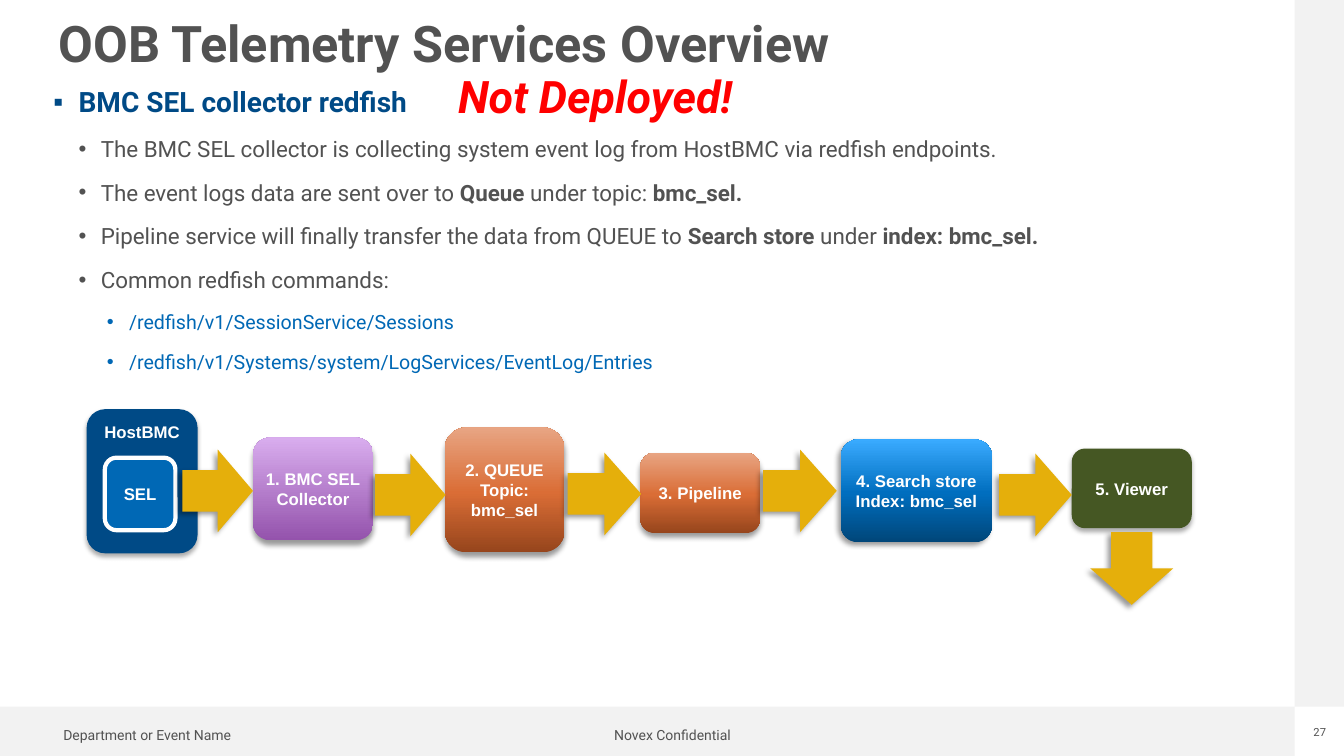
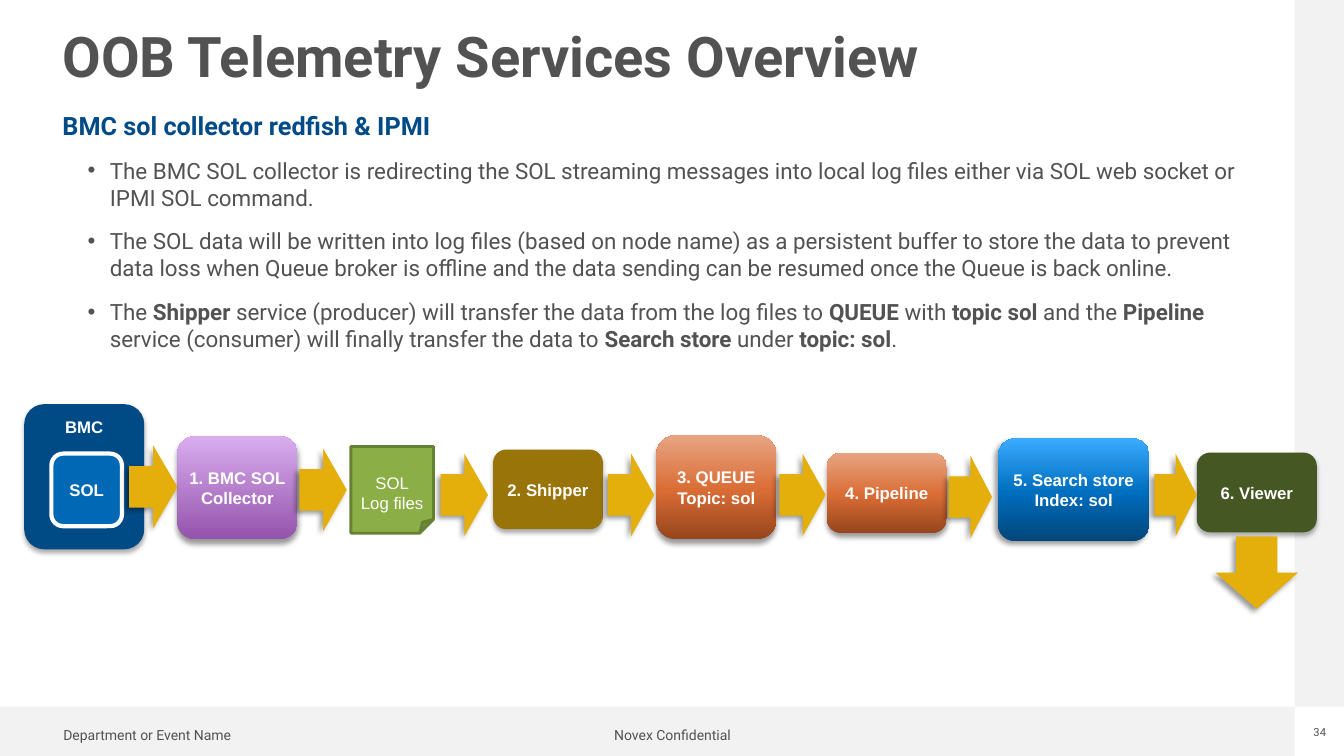
from lxml import etree
from pptx import Presentation
from pptx import util as u
from pptx.dml.color import RGBColor
from pptx.enum import shapes, text
from pptx.oxml.ns import qn

PX = 9144  # EMU per px, 100 px to the inch

# Shared style
BODY_FONT, BLOCK_FONT = "Roboto", "Arial"
WHITE = RGBColor(0xFF, 0xFF, 0xFF)
BAND = RGBColor(0xF2, 0xF2, 0xF2)
GREY = RGBColor(0x52, 0x52, 0x52)
NAVY = RGBColor(0x00, 0x4A, 0x86)
BLUE = RGBColor(0x00, 0x68, 0xB5)
RED = RGBColor(0xFF, 0x00, 0x00)
GOLD = RGBColor(0xE5, 0xAF, 0x0B)
OLIVE = RGBColor(0x45, 0x57, 0x23)
BROWN = RGBColor(0x99, 0x74, 0x08)
GREEN = RGBColor(0x8B, 0xAE, 0x46)
DARK_GREEN = RGBColor(0x67, 0x81, 0x34)

# Gradients run from the bottom up: (percent, colour)
PURPLE_FADE = [(0, "9453AC"), (100, "D9ADEE")]
ORANGE_FADE = [(0, "96451C"), (48, "DA6D36"), (100, "E8A583")]
BLUE_FADE = [(0, "004679"), (48, "006EBF"), (100, "3AABFF")]

# Shadows: opacity percent, blur pt, distance pt, direction in degrees
SOFT = (32, 3.5, 2.2, 90)
BELOW = (40, 4, 3, 90)
DIAGONAL = (40, 4, 3, 135)

ROUND = shapes.MSO_SHAPE.ROUNDED_RECTANGLE
FOLDED = shapes.MSO_SHAPE.FOLDED_CORNER
RIGHT = shapes.MSO_SHAPE.RIGHT_ARROW
DOWN = shapes.MSO_SHAPE.DOWN_ARROW
ARROW_SPAN, DOWN_LENGTH = 82, 72

# Block styles
STYLES = {
    "host": dict(fill=NAVY, shadow=SOFT, anchor="top", top=7),
    "sensor": dict(fill=BLUE, line=(WHITE, 3)),
    "collector": dict(fill=PURPLE_FADE, shadow=BELOW),
    "files": dict(kind=FOLDED, fill=GREEN, line=(DARK_GREEN, 2), bold=False, top=25),
    "shipper": dict(fill=BROWN, shadow=SOFT),
    "transfer": dict(fill=ORANGE_FADE, shadow=BELOW, corner=0.185),
    "store": dict(fill=BLUE_FADE, shadow=DIAGONAL),
    "viewer": dict(fill=OLIVE, shadow=SOFT),
}

# Paragraph levels: size, colour, bold, left indent px, hanging px, bullet
LEVELS = {
    "head": (20, NAVY, True, 25, 25, "▪"),
    "plain head": (18, NAVY, True, 0, 0, None),
    "point": (16, GREY, False, 47, 22, "•"),
    "command": (14, BLUE, False, 75, 22, "•"),
}

# Content: ** marks bold; blocks are (style, lines, left, top, width, height);
# arrows are (left, top, width)
TITLE = "OOB Telemetry Services Overview"
FOOTERS = [("Department or Event Name", 53, 193, "LEFT"),
           ("Novex Confidential", 567, 200, "CENTER")]
SLIDES = [
    dict(
        number="27", title_at=(58, 19, 1204, 51), title_size=36,
        body_at=(53, 84, 1204, 542), stamp="Not Deployed!",
        body=[
            ("head", "BMC SEL collector redfish"),
            ("point", "The BMC SEL collector is collecting system event log from "
                      "HostBMC via redfish endpoints."),
            ("point", "The event logs data are sent over to **Queue **under topic: "
                      "**bmc_sel."),
            ("point", "Pipeline service will finally transfer the data from QUEUE to "
                      "**Search store** under **index: bmc_sel."),
            ("point", "Common redfish commands:"),
            ("command", "/redfish/v1/SessionService/Sessions"),
            ("command", "/redfish/v1/Systems/system/LogServices/EventLog/Entries"),
        ],
        blocks=[
            ("host", ["HostBMC"], 86, 406, 110, 143),
            ("sensor", ["SEL"], 104, 454, 70, 72),
            ("collector", ["1. BMC SEL", "Collector"], 251, 434, 119, 102),
            ("transfer", ["2. QUEUE", "Topic: bmc_sel"], 441, 424, 119, 124),
            ("transfer", ["3. Pipeline"], 635, 449, 119, 80),
            ("store", ["4. Search store", "Index: bmc_sel"], 834, 436, 150, 102),
            ("viewer", ["5. Viewer"], 1063, 445, 119, 79),
        ],
        arrows=[(181, 446, 70), (372, 450, 70), (563, 449, 73), (757, 446, 73),
                (991, 450, 72)],
    ),
    dict(
        number="34", title_at=(62, 29, 1204, 78), title_size=40,
        body_at=(62, 109, 1204, 542), stamp=None,
        body=[
            ("plain head", "BMC sol collector redfish & IPMI"),
            ("point", "The BMC SOL collector is redirecting the SOL streaming messages "
                      "into local log files either via SOL web socket or IPMI SOL command."),
            ("point", "The SOL data will be written into log files (based on node name) "
                      "as a persistent buffer to store the data to prevent data loss when "
                      "Queue broker is offline and the data sending can be resumed once "
                      "the Queue is back online."),
            ("point", "The **Shipper** service (producer) will transfer the data from the "
                      "log files to **QUEUE** with **topic sol **and the **Pipeline** "
                      "service (consumer) will finally transfer the data to "
                      "**Search store** under **topic: sol**."),
        ],
        blocks=[
            ("host", ["BMC"], 24, 401, 119, 144),
            ("sensor", ["SOL"], 51, 450, 70, 72),
            ("collector", ["1. BMC SOL", "Collector"], 176, 433, 119, 102),
            ("files", ["SOL", "Log files"], 348, 443, 82, 86),
            ("shipper", ["2. Shipper"], 489, 446, 109, 79),
            ("transfer", ["3. QUEUE", "Topic: sol"], 651, 432, 119, 103),
            ("transfer", ["4. Pipeline"], 820, 449, 119, 80),
            ("store", ["5. Search store", "Index: sol"], 990, 435, 150, 102),
            ("viewer", ["6. Viewer"], 1187, 449, 119, 79),
        ],
        arrows=[(128, 442, 48), (297, 445, 47), (437, 450, 47), (603, 450, 46),
                (773, 450, 46), (941, 452, 43), (1145, 450, 42)],
    ),
]


def emu(*lengths):
    return [u.Emu(round(length * PX)) for length in lengths]


def add_run(para, words, size, color, font=BODY_FONT, bold=False, italic=False):
    run = para.add_run()
    run.text = words
    run.font.name, run.font.size = font, u.Pt(size)
    run.font.bold, run.font.italic = bold, italic
    run.font.color.rgb = color


def set_insets(frame, side, top):
    frame.margin_left, frame.margin_right, frame.margin_bottom = emu(side, side, side)
    frame.margin_top = emu(top)[0]


def text_frame(slide, at, wrap=True, flush=True):
    frame = slide.shapes.add_textbox(*emu(*at)).text_frame
    frame.word_wrap = wrap
    if flush:
        set_insets(frame, 0, 0)
    return frame


def add_label(slide, at, words, size, color=GREY, align="LEFT", spacing=0.9,
              wrap=True, flush=True, **style):
    para = text_frame(slide, at, wrap, flush).paragraphs[0]
    para.alignment = text.PP_ALIGN[align]
    para.line_spacing = spacing
    add_run(para, words, size, color, **style)


def paint_gradient(shape, stops):
    shape.fill.gradient()
    shape.fill.gradient_angle = 90
    stop_list = shape.element.spPr.find(".//" + qn("a:gsLst"))
    for old in list(stop_list):
        stop_list.remove(old)
    for percent, color in stops:
        stop = etree.SubElement(stop_list, qn("a:gs"), pos=str(percent * 1000))
        etree.SubElement(stop, qn("a:srgbClr"), val=color)


def cast_shadow(shape, opacity, blur, distance, direction):
    effects = shape.element.spPr.find(qn("a:effectLst"))
    outer = etree.SubElement(effects, qn("a:outerShdw"), blurRad=str(u.Pt(blur)),
                             dist=str(u.Pt(distance)), dir=str(direction * 60000),
                             algn="ctr", rotWithShape="0")
    color = etree.SubElement(outer, qn("a:srgbClr"), val="000000")
    etree.SubElement(color, qn("a:alpha"), val=str(opacity * 1000))


def add_box(slide, kind, at, fill, line=None, shadow=None):
    shape = slide.shapes.add_shape(kind, *emu(*at))
    shape.shadow.inherit = False
    if isinstance(fill, list):
        paint_gradient(shape, fill)
    else:
        shape.fill.solid()
        shape.fill.fore_color.rgb = fill
    if line:
        shape.line.color.rgb, shape.line.width = line[0], u.Pt(line[1])
    else:
        shape.line.fill.background()
    if shadow:
        cast_shadow(shape, *shadow)
    return shape


def add_block(slide, lines, at, fill, kind=ROUND, line=None, shadow=None,
              corner=None, anchor="middle", top=6, bold=True):
    shape = add_box(slide, kind, at, fill, line, shadow)
    if corner:
        shape.adjustments[0] = corner
    frame = shape.text_frame
    frame.word_wrap = True
    frame.vertical_anchor = text.MSO_ANCHOR[anchor.upper()]
    set_insets(frame, 6, top)
    for i, words in enumerate(lines):
        para = frame.add_paragraph() if i else frame.paragraphs[0]
        para.alignment = text.PP_ALIGN.CENTER
        add_run(para, words, 12, WHITE, BLOCK_FONT, bold)


def add_body(slide, at, items):
    frame = text_frame(slide, at)
    for i, (level, words) in enumerate(items):
        size, color, bold, left, hanging, bullet = LEVELS[level]
        para = frame.add_paragraph() if i else frame.paragraphs[0]
        para.space_before = u.Pt(12)
        if bullet:
            props = para._p.get_or_add_pPr()
            props.set("marL", str(left * PX))
            props.set("indent", str(-hanging * PX))
            etree.SubElement(props, qn("a:buFont"), typeface=BLOCK_FONT)
            etree.SubElement(props, qn("a:buChar"), char=bullet)
        for j, part in enumerate(words.split("**")):
            if part:
                add_run(para, part, size, color, bold=bold or j % 2 == 1)


def add_frame(slide, number):
    # Bottom and right bands, footers, page number
    for at in [(0, 701, 1284, 49), (1284, 0, 49, 701)]:
        add_box(slide, shapes.MSO_SHAPE.RECTANGLE, at, BAND)
    for words, left, width, align in FOOTERS:
        add_label(slide, (left, 718, width, 25), words, 10, align=align, flush=False)
    add_label(slide, (1302, 720, 14, 13), number, 8, align="CENTER", spacing=1.0,
              wrap=False)


def add_flow(slide, blocks, arrows):
    for style, lines, *at in blocks:
        add_block(slide, lines, at, **STYLES[style])
    for left, top, width in arrows:
        add_box(slide, RIGHT, (left, top, width, ARROW_SPAN), GOLD, shadow=DIAGONAL)
    # Arrow out of the last block
    left, top, width, height = blocks[-1][2:]
    down_at = (left + (width - ARROW_SPAN) / 2, top + height + 4, ARROW_SPAN, DOWN_LENGTH)
    add_box(slide, DOWN, down_at, GOLD, shadow=DIAGONAL)


def main():
    deck = Presentation()
    deck.slide_width, deck.slide_height = emu(1333, 750)
    for page in SLIDES:
        slide = deck.slides.add_slide(deck.slide_layouts[6])
        add_frame(slide, page["number"])
        add_label(slide, page["title_at"], TITLE, page["title_size"], bold=True)
        add_body(slide, page["body_at"], page["body"])
        add_flow(slide, page["blocks"], page["arrows"])
        if page["stamp"]:
            add_label(slide, (300, 69, 581, 59), page["stamp"], 32, RED, "CENTER",
                      flush=False, bold=True, italic=True)
    deck.save("out.pptx")


if __name__ == "__main__":
    main()
